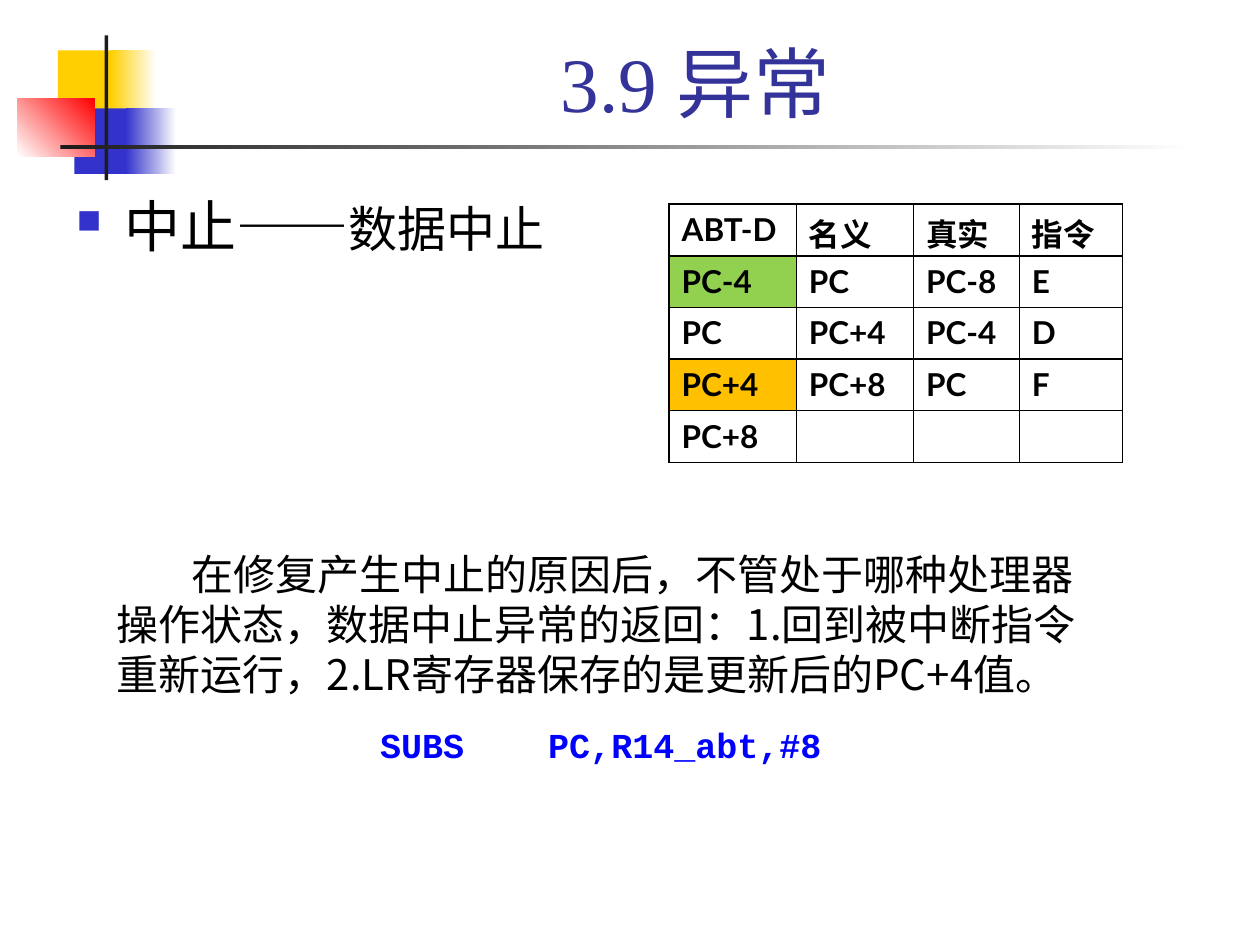
from lxml.etree import SubElement
from pptx import Presentation
from pptx.dml.color import RGBColor
from pptx.enum.shapes import MSO_SHAPE
from pptx.enum.text import MSO_ANCHOR, PP_ALIGN
from pptx.oxml.ns import qn
from pptx.util import Inches, Pt

COLORS = {
    "gold": "FFCF01", "blue": "3333CC", "red": "FF0000", "dark": "1C1C1C",
    "white": "FFFFFF", "black": "000000", "title": "333399",
    "code": "0000FF", "green": "92D050", "orange": "FFC000",
}


def rgb(name):
    return RGBColor.from_string(COLORS[name])


def style(font, face, size, color, bold=False):
    font.name, font.size, font.bold = face, Pt(size), bold
    font.color.rgb = rgb(color)


deck = Presentation()
deck.slide_width, deck.slide_height = Inches(10), Inches(7.5)
slide = deck.slides.add_slide(deck.slide_layouts[5])
shapes = slide.shapes

# Corner ornament: left, top, width, height, first colour, last colour, angle
blocks = [
    (0.46, 0.4, 0.48, 0.52, "gold", None, 0),
    (0.88, 0.4, 0.36, 0.52, "gold", "white", 0),
    (0.59, 0.86, 0.46, 0.52, "blue", None, 0),
    (1, 0.86, 0.4, 0.52, "blue", "white", 0),
    (0.14, 0.78, 0.61, 0.46, "white", "red", 45),
    (0.83, 0.28, 0.03, 1.15, "dark", None, 0),
    (0.48, 1.15, 9, 0.03, "dark", "white", 0),
]
for *place, first, last, angle in blocks:
    block = shapes.add_shape(MSO_SHAPE.RECTANGLE, *map(Inches, place))
    block.shadow.inherit = False
    block.line.fill.background()
    if last:
        block.fill.gradient()
        block.fill.gradient_angle = angle
        for stop, color in zip(block.fill.gradient_stops, (first, last)):
            stop.color.rgb = rgb(color)
    else:
        block.fill.solid()
        block.fill.fore_color.rgb = rgb(first)

# Title
title = shapes.title
title.left, title.top = Inches(1.26), Inches(0.23)
title.width, title.height = Inches(8.52), Inches(0.84)
title.text_frame.text = "3.9 异常"
title.text_frame.vertical_anchor = MSO_ANCHOR.MIDDLE
head = title.text_frame.paragraphs[0]
head.alignment = PP_ALIGN.CENTER
style(head.font, "Times New Roman", 44, "title")

# Bulleted topic
topic = shapes.add_textbox(Inches(0.51), Inches(1.47), Inches(9.28), Inches(0.89))
topic.text_frame.word_wrap = True
line = topic.text_frame.paragraphs[0]
props = line._p.get_or_add_pPr()
props.set("marL", str(Inches(0.38)))
props.set("indent", str(Inches(-0.38)))
tint = SubElement(props, qn("a:buClr"))
SubElement(tint, qn("a:srgbClr"), val=COLORS["blue"])
SubElement(props, qn("a:buSzPct"), val="60000")
SubElement(props, qn("a:buChar"), char="■")
style(line.font, "Times New Roman", 32, "black")
for text, size in (("中止——", 32), ("数据中止", 28)):
    run = line.add_run()
    run.text = text
    run.font.size = Pt(size)

# Return address table
rows = [
    ("ABT-D", "名义", "真实", "指令"),
    ("PC-4", "PC", "PC-8", "E"),
    ("PC", "PC+4", "PC-4", "D"),
    ("PC+4", "PC+8", "PC", "F"),
    ("PC+8", "", "", ""),
]
marks = {(1, 0): "green", (3, 0): "orange"}
frame = shapes.add_table(len(rows), 4, Inches(5.31), Inches(1.62),
                         Inches(3.6), Inches(2.05))
table = frame.table
table.first_row = table.horz_banding = False
for column, width in zip(table.columns, (1.01, 0.93, 0.84, 0.82)):
    column.width = Inches(width)
for r, row in enumerate(rows):
    table.rows[r].height = Inches(0.41)
    for c, text in enumerate(row):
        cell = table.cell(r, c)
        cell.text = text
        style(cell.text_frame.paragraphs[0].font, "Lato", 18, "black", True)
        props = cell._tc.get_or_add_tcPr()
        for side in ("lnL", "lnR", "lnT", "lnB"):
            edge = SubElement(props, qn(f"a:{side}"), w=str(Pt(1)))
            paint = SubElement(edge, qn("a:solidFill"))
            SubElement(paint, qn("a:srgbClr"), val=COLORS["black"])
        cell.fill.solid()
        cell.fill.fore_color.rgb = rgb(marks.get((r, c), "white"))

# Explanation and return instruction
note = shapes.add_textbox(Inches(0.83), Inches(4.3), Inches(7.88), Inches(1.92))
note.text_frame.word_wrap = True
prose = note.text_frame.paragraphs[0]
prose.text = ("在修复产生中止的原因后，不管处于哪种处理器操作状态，数据中止异常的返回："
              "1.回到被中断指令重新运行，2.LR寄存器保存的是更新后的PC+4值。")
prose._p.get_or_add_pPr().set("indent", str(Inches(0.59)))
style(prose.font, "Noto Sans CJK JP", 24, "black")
code = note.text_frame.add_paragraph()
code.text = "SUBS    PC,R14_abt,#8"
code.alignment = PP_ALIGN.CENTER
code.space_before = Pt(14)
style(code.font, "Courier New", 20, "code", True)

deck.save("out.pptx")
